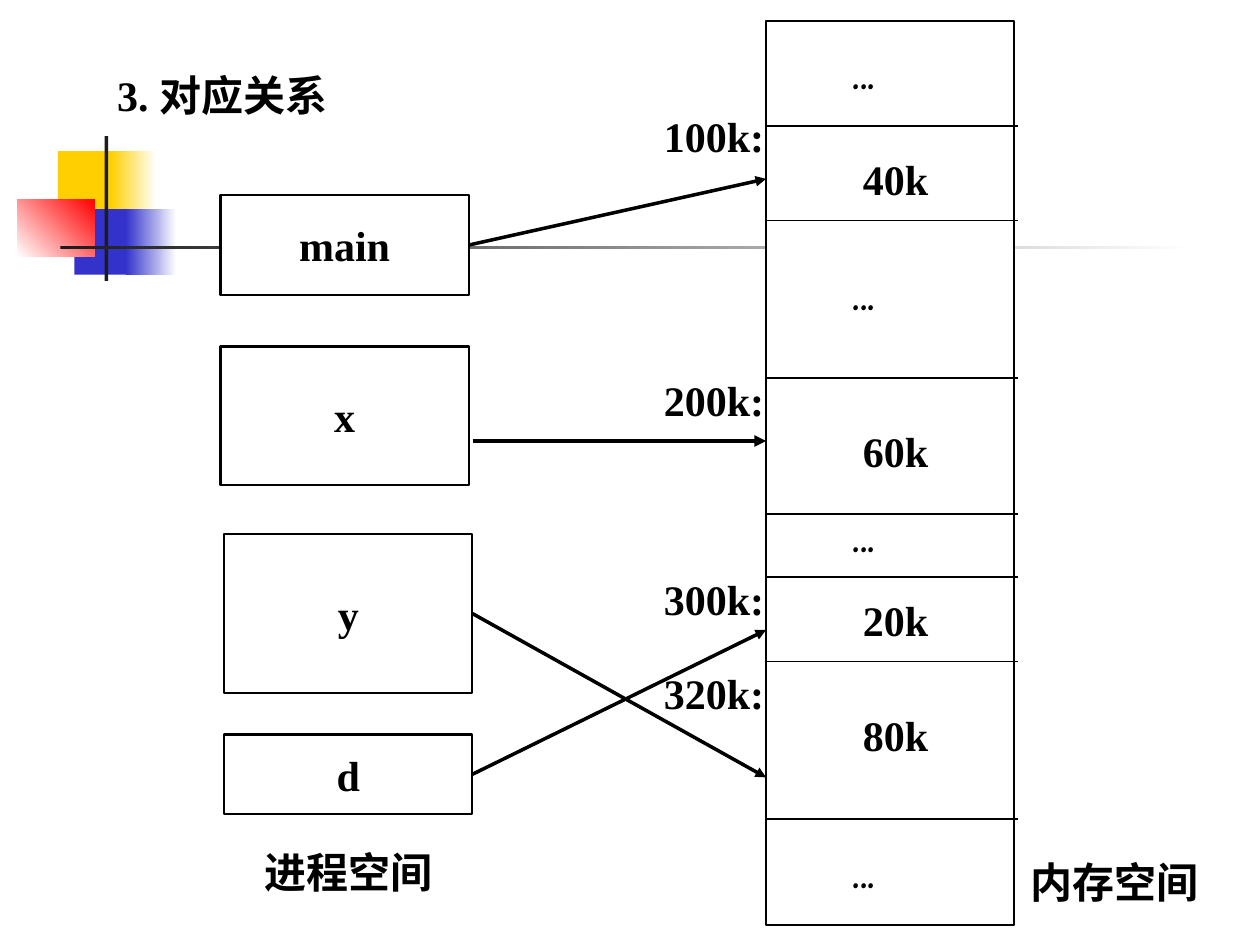
from lxml import etree
from pptx import Presentation
from pptx.dml.color import RGBColor
from pptx.enum.shapes import MSO_CONNECTOR as Conn, MSO_SHAPE as Shape
from pptx.enum.text import MSO_ANCHOR as Anchor, MSO_AUTO_SIZE as Fit, PP_ALIGN as Align
from pptx.oxml.ns import qn
from pptx.util import Inches, Pt

BLACK, WHITE = "000000", "FFFFFF"
SERIF, COMIC = "Times New Roman", "Comic Neue"
LEFT, RIGHT, EDGE = 6.08, 8.08, 3.75


def color(code):
    return RGBColor.from_string(code)


def write(frame, text, font=SERIF, size=24, align=Align.LEFT,
          anchor=Anchor.TOP, wrap=True, fit=Fit.NONE):
    frame.word_wrap = wrap
    frame.auto_size = fit
    frame.vertical_anchor = anchor
    para = frame.paragraphs[0]
    para.alignment = align
    run = para.add_run()
    run.text = text
    run.font.name = font
    run.font.size = Pt(size)
    run.font.bold = True
    run.font.color.rgb = color(BLACK)


def rect(slide, box, fill, line=None, angle=0):
    shape = slide.shapes.add_shape(Shape.RECTANGLE, *map(Inches, box))
    shape.shadow.inherit = False
    if isinstance(fill, tuple):
        shape.fill.gradient()
        shape.fill.gradient_angle = angle
        for stop, code, pos in zip(shape.fill.gradient_stops, fill, (0, 1)):
            stop.color.rgb = color(code)
            stop.position = pos
    else:
        shape.fill.solid()
        shape.fill.fore_color.rgb = color(fill)
    if line:
        shape.line.color.rgb = color(line)
        shape.line.width = Pt(1.25)
    else:
        shape.line.fill.background()
    return shape


def label(slide, left, top, width, text, **form):
    box = slide.shapes.add_textbox(*map(Inches, (left, top, width, 0.5)))
    write(box.text_frame, text, fit=Fit.SHAPE_TO_FIT_TEXT, **form)


def rule(slide, start, end, width=0.75, arrow=False):
    line = slide.shapes.add_connector(Conn.STRAIGHT, *map(Inches, start + end))
    line.line.color.rgb = color(BLACK)
    line.line.width = Pt(width)
    if arrow:
        etree.SubElement(line.line._get_or_add_ln(), qn("a:tailEnd"), type="triangle")
    etree.SubElement(line._element.spPr, qn("a:effectLst"))
    return line


def motif(slide):
    rect(slide, (0.46, 1.2, 0.48, 0.52), "FFCF01")
    rect(slide, (0.88, 1.2, 0.36, 0.52), ("FFCF01", WHITE))
    rect(slide, (0.59, 1.66, 0.46, 0.52), "3333CC")
    rect(slide, (1, 1.66, 0.4, 0.52), ("3333CC", WHITE))
    rect(slide, (0.14, 1.58, 0.61, 0.46), (WHITE, "FF0000"), angle=45)
    rect(slide, (0.83, 1.08, 0.03, 1.15), "1C1C1C")
    rect(slide, (0.48, 1.95, 9, 0.03), ("1C1C1C", WHITE))


def heading(slide):
    title = slide.shapes.title
    title.left, title.top, title.width, title.height = map(Inches, (0.83, 0.5, 4.33, 0.5))
    write(title.text_frame, "3. 对应关系")


def memory(slide):
    rect(slide, (LEFT, 0.17, 1.97, 7.17), WHITE, BLACK)
    for top in (1, 1.75, 3, 4.08, 4.58, 5.25, 6.5):
        rule(slide, (LEFT, top), (RIGHT, top))
    for top, text in ((1.17, "40k"), (3.33, "60k"), (4.67, "20k"), (5.58, "80k")):
        label(slide, 6.75, top, 1.08, text)
    for top in (0.33, 2.08, 4, 6.67):
        label(slide, 6.67, top, 0.83, "...", font=COMIC)
    for top, text in ((0.83, "100k:"), (2.92, "200k:"), (4.5, "300k:"), (5.25, "320k:")):
        label(slide, 5.17, top, 1.08, text)


def process(slide):
    parts = (
        ("main", 1.75, 1.55, 0.79, 1.92, 1.42, 2, True),
        ("x", 1.75, 2.75, 1.1, 3.5, 3.5, 2.25, False),
        ("y", 1.78, 4.24, 1.26, 4.92, 6.17, 2, True),
        ("d", 1.78, 5.83, 0.63, 6.08, 5, 2, True),
    )
    for name, left, top, height, start, end, width, join in parts:
        box = rect(slide, (left, top, 1.97, height), WHITE, BLACK)
        write(box.text_frame, name, align=Align.CENTER, anchor=Anchor.MIDDLE, wrap=False)
        line = rule(slide, (EDGE, start), (LEFT, end), width, arrow=True)
        if join:
            line.begin_connect(box, 3)


def main():
    deck = Presentation()
    deck.slide_width, deck.slide_height = Inches(10), Inches(7.5)
    slide = deck.slides.add_slide(deck.slide_layouts[5])
    motif(slide)
    heading(slide)
    memory(slide)
    process(slide)
    label(slide, 2, 6.67, 1.58, "进程空间")
    label(slide, 8.08, 6.75, 1.58, "内存空间")
    deck.save("out.pptx")


if __name__ == "__main__":
    main()
